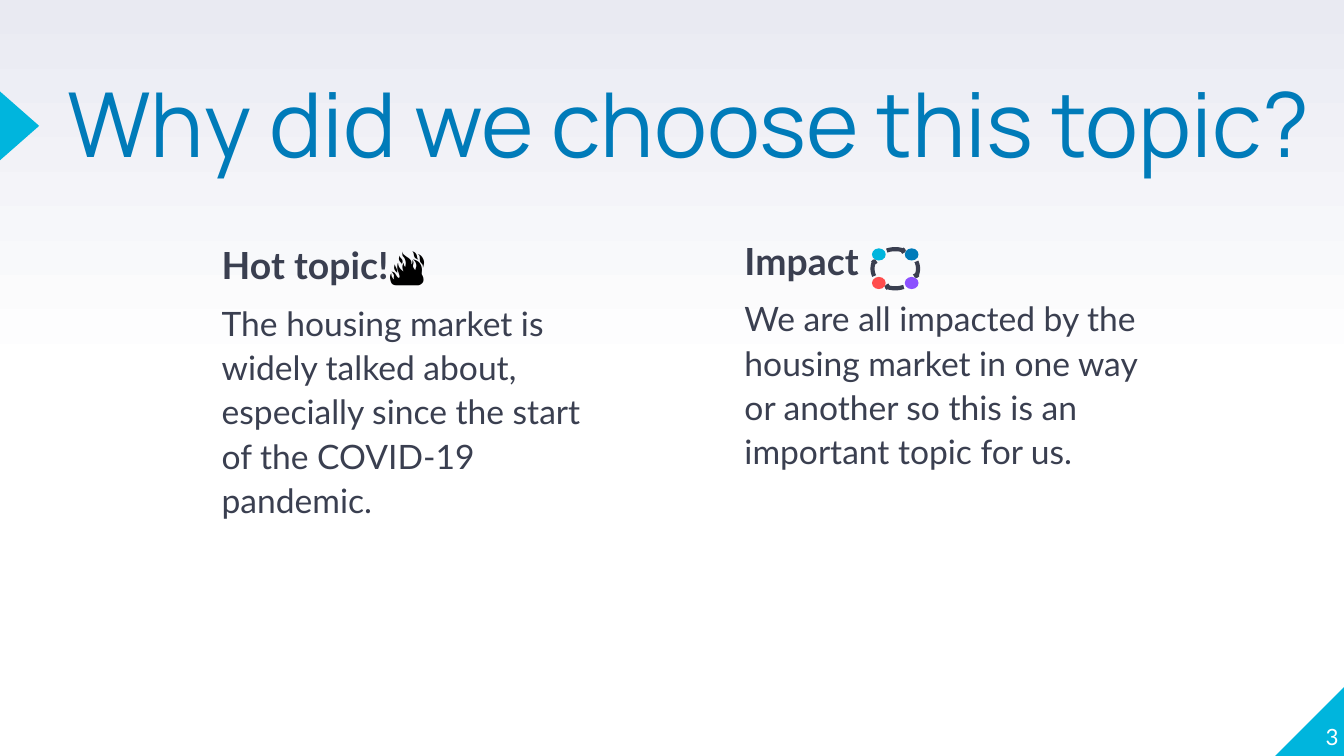
from copy import deepcopy
from math import cos, radians, sin

from pptx import Presentation
from pptx.dml.color import RGBColor
from pptx.enum.shapes import MSO_SHAPE as Shape
from pptx.enum.text import MSO_ANCHOR as Anchor, MSO_AUTO_SIZE as AutoSize, PP_ALIGN as Align
from pptx.oxml.ns import qn
from pptx.util import Cm, Pt

# Content: heading, emoji, body, left and top in cm
TITLE = "Why did we choose this topic?"
PAGE = "3"
REASONS = [
    ("Hot topic!", "🔥",
     "The housing market is widely talked about, especially since the start "
     "of the COVID-19 pandemic.", 4.19, 4.5),
    ("Impact", "",
     "We are all impacted by the housing market in one way or another so this "
     "is an important topic for us.", 14.07, 4.42),
]


class Theme:
    title_font, body_font, emoji_font = "Manrope", "Lato", "Cambria"
    title_size, heading_size, body_size, page_size = 48, 20, 18, 12
    blue, cyan, ink, black, white = "007BB9", "00B5DD", "3A3F50", "000000", "FFFFFF"
    purple, red, haze = "8C50FF", "FF4D4D", "E9EAF2"


WIDTH, HEIGHT = 25.4, 14.29
MARKER = 1.3
COLUMN = 7.44

# Ring icon: centre, radii and dots, in cm
RING_X, RING_Y = 16.92, 5.08
RADIUS_X, RADIUS_Y = 0.43, 0.37
DOT_WIDTH, DOT_HEIGHT = 0.26, 0.23
DOTS = [(1, -1, Theme.blue), (1, 1, Theme.purple),
        (-1, -1, Theme.cyan), (-1, 1, Theme.red)]
DOT_DX, DOT_DY = 0.31, 0.27
HALF_ARC = 22
ARROW = [(-0.03, -0.05), (0, 0), (0.03, -0.03)]


def rgb(color):
    return RGBColor.from_string(color)


def style(font, name, size, color, bold=False):
    font.name, font.size, font.bold = name, Pt(size), bold
    font.color.rgb = rgb(color)


def place(box, left, top, width, height):
    box.left, box.top, box.width, box.height = map(Cm, (left, top, width, height))


def prepare(box, anchor=Anchor.TOP):
    frame = box.text_frame
    frame.margin_left = frame.margin_right = frame.margin_top = frame.margin_bottom = 0
    frame.word_wrap, frame.auto_size, frame.vertical_anchor = True, AutoSize.NONE, anchor
    return frame


def add_filled(shapes, kind, left, top, width, height, color):
    filled = shapes.add_shape(kind, Cm(left), Cm(top), Cm(width), Cm(height))
    filled.shadow.inherit = False
    filled.fill.solid()
    filled.fill.fore_color.rgb = rgb(color)
    filled.line.fill.background()
    return filled


def add_stroke(shapes, points):
    start, *rest = [(Cm(x), Cm(y)) for x, y in points]
    builder = shapes.build_freeform(*start)
    builder.add_line_segments(rest, close=False)
    stroke = builder.convert_to_shape()
    stroke.shadow.inherit = False
    stroke.fill.background()
    stroke.line.color.rgb = rgb(Theme.ink)
    stroke.line.width = Pt(2.25)


def ring_point(degrees):
    angle = radians(degrees)
    return RING_X + RADIUS_X * cos(angle), RING_Y + RADIUS_Y * sin(angle)


def add_ring(slide):
    ring = slide.shapes.add_group_shape().shapes
    for side, level, color in DOTS:
        add_filled(ring, Shape.OVAL, RING_X + side * DOT_DX - DOT_WIDTH / 2,
                   RING_Y + level * DOT_DY - DOT_HEIGHT / 2,
                   DOT_WIDTH, DOT_HEIGHT, color)
    for turn in range(0, 360, 90):
        add_stroke(ring, [ring_point(turn + step)
                          for step in range(-HALF_ARC, HALF_ARC + 1, 4)])
        tip_x, tip_y = ring_point(turn + HALF_ARC)
        c, s = cos(radians(turn)), sin(radians(turn))
        add_stroke(ring, [(tip_x + x * c - y * s, tip_y + x * s + y * c)
                          for x, y in ARROW])


def add_background(slide):
    fill = slide.background.fill
    fill.gradient()
    fill.gradient_angle = 90
    bottom, top = fill.gradient_stops
    bottom.position, top.position = 0, 1
    bottom.color.rgb, top.color.rgb = rgb(Theme.white), rgb(Theme.haze)
    # The lower half stays white
    first = slide.element.find(".//" + qn("a:gs"))
    middle = deepcopy(first)
    middle.set("pos", "50000")
    first.addnext(middle)


def add_paragraph(paragraph, text, size, bold):
    paragraph.text = text
    paragraph.line_spacing, paragraph.space_before = 1.1, Pt(6)
    style(paragraph.font, Theme.body_font, size, Theme.ink, bold)
    # No bullet, no indent
    props = paragraph._p.get_or_add_pPr()
    props.set("marL", "0")
    props.set("indent", "0")
    no_bullet = props.makeelement(qn("a:buNone"), {})
    props.find(qn("a:defRPr")).addprevious(no_bullet)


def add_reason(body, heading, emoji, text, left, top):
    place(body, left, top, COLUMN, COLUMN)
    frame = prepare(body)
    add_paragraph(frame.paragraphs[0], heading, Theme.heading_size, True)
    if emoji:
        flame = frame.paragraphs[0].add_run()
        flame.text = emoji
        style(flame.font, Theme.emoji_font, Theme.heading_size, Theme.black, True)
    add_paragraph(frame.add_paragraph(), text, Theme.body_size, False)


def main():
    deck = Presentation()
    deck.slide_width, deck.slide_height = Cm(WIDTH), Cm(HEIGHT)
    slide = deck.slides.add_slide(deck.slide_layouts[3])
    add_background(slide)

    # Corner and title markers
    corner = add_filled(slide.shapes, Shape.RIGHT_TRIANGLE, WIDTH - MARKER,
                        HEIGHT - MARKER, MARKER, MARKER, Theme.cyan)
    corner.element.spPr.find(qn("a:xfrm")).set("flipH", "1")
    pointer = add_filled(slide.shapes, Shape.ISOSCELES_TRIANGLE,
                         -0.28, 2.01, MARKER, 0.74, Theme.cyan)
    pointer.rotation = 90

    # Title
    title = slide.shapes.title
    place(title, 1.27, 1.68, 24.13, 3)
    heading = prepare(title).paragraphs[0]
    heading.text = TITLE
    heading.alignment, heading.line_spacing = Align.LEFT, 0.8
    style(heading.font, Theme.title_font, Theme.title_size, Theme.blue)

    # Reasons
    for index, reason in enumerate(REASONS, start=1):
        add_reason(slide.placeholders[index], *reason)
    add_ring(slide)

    # Page number
    page = slide.shapes.add_textbox(Cm(24.03), Cm(12.88), Cm(1.27), Cm(MARKER))
    number = prepare(page, Anchor.BOTTOM).paragraphs[0]
    number.text, number.alignment = PAGE, Align.RIGHT
    style(number.font, Theme.body_font, Theme.page_size, Theme.white)

    deck.save("out.pptx")


if __name__ == "__main__":
    main()
